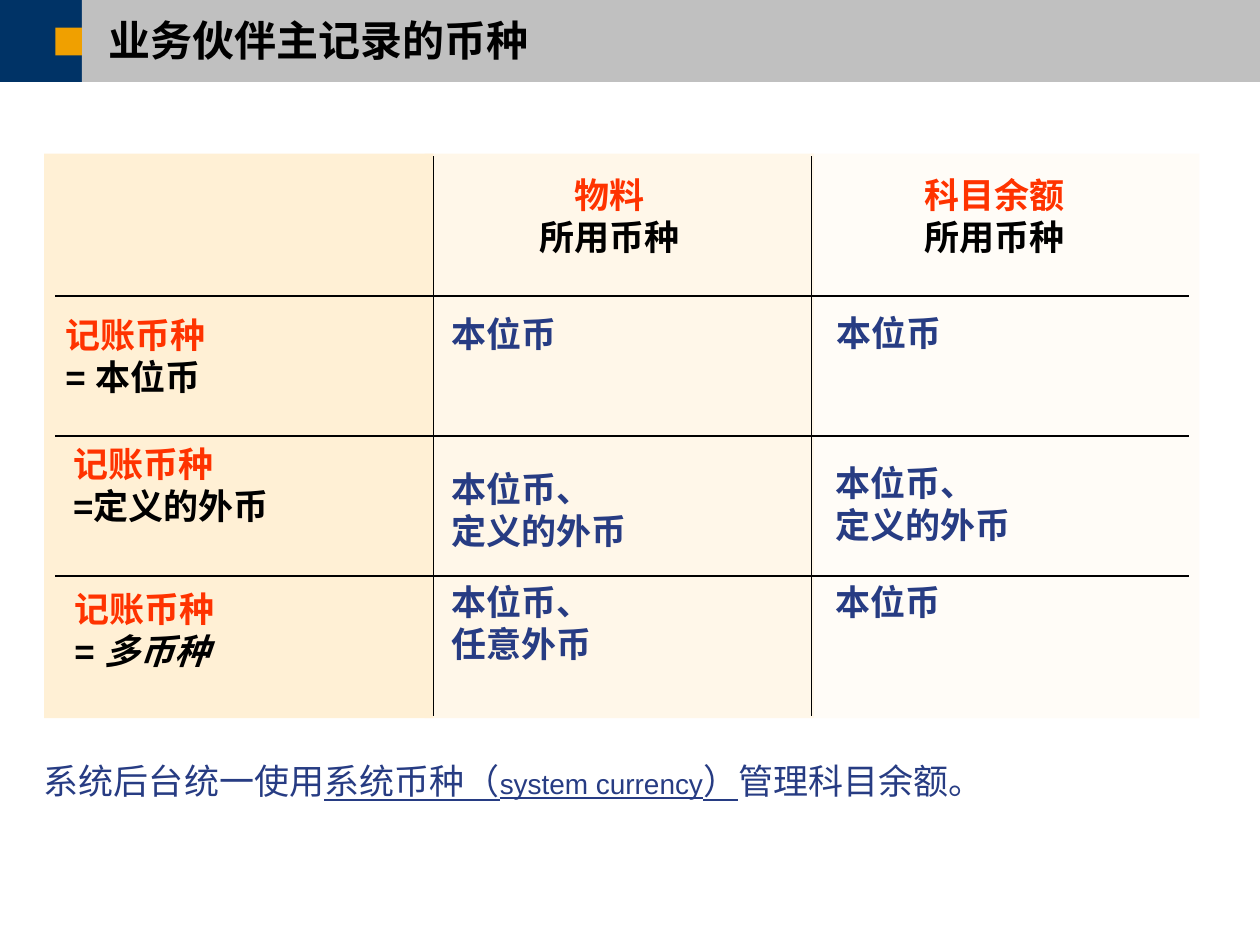
"""Build the slide on currencies in business partner master records."""
from dataclasses import dataclass

from lxml import etree
from pptx import Presentation
from pptx import util as u
from pptx.dml.color import RGBColor
from pptx.enum import shapes, text
from pptx.oxml.ns import qn

BLACK = RGBColor(0x00, 0x00, 0x00)
RED = RGBColor(0xFF, 0x33, 0x00)
BLUE = RGBColor(0x27, 0x3C, 0x83)
NAVY = RGBColor(0x00, 0x33, 0x66)
GREY = RGBColor(0xC0, 0xC0, 0xC0)
AMBER = RGBColor(0xF0, 0xA0, 0x00)
CREAM = RGBColor(0xFF, 0xF0, 0xD5)
PALE = RGBColor(0xFF, 0xF7, 0xE9)
IVORY = RGBColor(0xFF, 0xFC, 0xF7)

CELL_FORMAT = {"name": "Arial", "size": u.Pt(20), "bold": True}
NOTE_FORMAT = {"name": "Montserrat", "size": u.Pt(20)}
TITLE_FORMAT = {"name": "Montserrat", "size": u.Pt(24), "bold": True}


@dataclass
class Area:
    left: float
    top: float
    width: float
    height: float

    def lengths(self) -> tuple:
        return tuple(map(u.Inches, (self.left, self.top, self.width, self.height)))


@dataclass
class Span:
    words: str
    color: RGBColor
    format: dict


@dataclass
class Cell:
    area: Area
    lines: list
    align: text.PP_ALIGN = text.PP_ALIGN.LEFT


def set_values(target, values: dict) -> None:
    for name, value in values.items():
        setattr(target, name, value)


def add_panel(page, area: Area, color: RGBColor):
    panel = page.shapes.add_shape(shapes.MSO_SHAPE.RECTANGLE, *area.lengths())
    panel.shadow.inherit = False
    panel.fill.solid()
    panel.fill.fore_color.rgb = color
    panel.line.fill.background()
    return panel


def add_rule(page, start: tuple, end: tuple) -> None:
    rule = page.shapes.add_connector(
        shapes.MSO_CONNECTOR.STRAIGHT, *map(u.Inches, start + end))
    rule.line.color.rgb = BLACK
    rule.line.width = u.Pt(1)
    etree.SubElement(rule.element.spPr, qn("a:effectLst"))


def set_frame(box, insets: tuple, anchor: text.MSO_ANCHOR) -> None:
    sides = ("margin_left", "margin_top", "margin_right", "margin_bottom")
    set_values(box.text_frame, dict(zip(sides, map(u.Inches, insets))))
    set_values(box.text_frame, {
        "word_wrap": True, "auto_size": text.MSO_AUTO_SIZE.NONE,
        "vertical_anchor": anchor})


def write_line(para, spans: list, format: dict) -> None:
    set_values(para, format)
    for item in spans:
        span = para.add_run()
        span.text = item.words
        set_values(span.font, item.format)
        span.font.color.rgb = item.color


def add_text(page, area: Area, insets: tuple, lines: list, format: dict) -> None:
    box = page.shapes.add_textbox(*area.lengths())
    set_frame(box, insets, text.MSO_ANCHOR.TOP)
    for index, spans in enumerate(lines):
        frame = box.text_frame
        para = frame.add_paragraph() if index else frame.paragraphs[0]
        write_line(para, spans, format)


def cell_line(words: str, color: RGBColor) -> list:
    return [Span(words, color, CELL_FORMAT)]


def header_cell(left: float, topic: str) -> Cell:
    lines = [cell_line(topic, RED), cell_line("所用币种", BLACK)]
    return Cell(Area(left, 1.33, 2.67, 1), lines, text.PP_ALIGN.CENTER)


def row_cell(area: Area, *spans: Span) -> Cell:
    return Cell(area, [cell_line("记账币种", RED), list(spans)])


def value_cell(left: float, top: float, height: float, *lines: str) -> Cell:
    return Cell(Area(left, top, 2.67, height), [cell_line(line, BLUE) for line in lines])


def add_heading(page) -> None:
    title = page.shapes.title
    for area, color in (
        (Area(0, 0, 0.65, 0.65), NAVY),
        (Area(0.65, 0, 9.35, 0.65), GREY),
        (Area(0.44, 0.22, 0.21, 0.22), AMBER),
    ):
        title.element.addprevious(add_panel(page, area, color).element)
    place = Area(0.66, 0.13, 9.16, 0.42).lengths()
    set_values(title, dict(zip(("left", "top", "width", "height"), place)))
    set_frame(title, (0.2, 0, 0, 0), text.MSO_ANCHOR.MIDDLE)
    write_line(title.text_frame.paragraphs[0],
               [Span("业务伙伴主记录的币种", BLACK, TITLE_FORMAT)],
               {"alignment": text.PP_ALIGN.LEFT, "line_spacing": 0.9})


def add_grid(page) -> None:
    for left, color in ((6.43, IVORY), (3.37, PALE), (0.35, CREAM)):
        add_panel(page, Area(left, 1.22, 3.09, 4.48), color)
    for row in range(3):
        top = 2.35 + 1.11 * row
        add_rule(page, (0.44, top), (9.44, top))
    for left in (3.44, 6.44):
        add_rule(page, (left, 1.24), (left, 5.68))


def add_cells(page) -> None:
    italic = CELL_FORMAT | {"italic": True}
    cells = [
        header_cell(3.52, "物料"),
        header_cell(6.58, "科目余额"),
        row_cell(Area(0.46, 2.44, 2.67, 1), Span("= 本位币", BLACK, CELL_FORMAT)),
        row_cell(Area(0.52, 3.46, 2.93, 1.42), Span("=定义的外币", BLACK, CELL_FORMAT)),
        row_cell(Area(0.53, 4.61, 2.67, 1), Span("= ", BLACK, CELL_FORMAT),
                 Span("多币种", BLACK, italic)),
        value_cell(3.52, 2.43, 1, "本位币"),
        value_cell(3.52, 3.66, 0.76, "本位币、", "定义的外币"),
        value_cell(3.52, 4.56, 1, "本位币、", "任意外币"),
        value_cell(6.58, 2.42, 1, "本位币"),
        value_cell(6.57, 3.61, 0.8, "本位币、", "定义的外币"),
        value_cell(6.57, 4.56, 1, "本位币"),
    ]
    for cell in cells:
        add_text(page, cell.area, (0.06, 0.05, 0.1, 0.05), cell.lines,
                 {"alignment": cell.align})


def add_note(page) -> None:
    underlined = NOTE_FORMAT | {"underline": True}
    latin = underlined | {"name": "Arial", "size": u.Pt(16)}
    spans = [
        Span("系统后台统一使用", BLUE, NOTE_FORMAT),
        Span("系统币种（", BLUE, underlined),
        Span("system currency", BLUE, latin),
        Span("）", BLUE, underlined),
        Span("管理科目余额。", BLUE, NOTE_FORMAT),
    ]
    add_text(page, Area(0.25, 6.02, 8.63, 0.4), (0.1, 0.05, 0.1, 0.05), [spans],
             {"line_spacing": 0.9, "space_after": u.Pt(12.5)})


def main() -> None:
    deck = Presentation()
    set_values(deck, {"slide_width": u.Inches(10), "slide_height": u.Inches(7.5)})
    page = deck.slides.add_slide(deck.slide_layouts[5])
    add_heading(page)
    add_grid(page)
    add_note(page)
    add_cells(page)
    deck.save("out.pptx")


if __name__ == "__main__":
    main()
